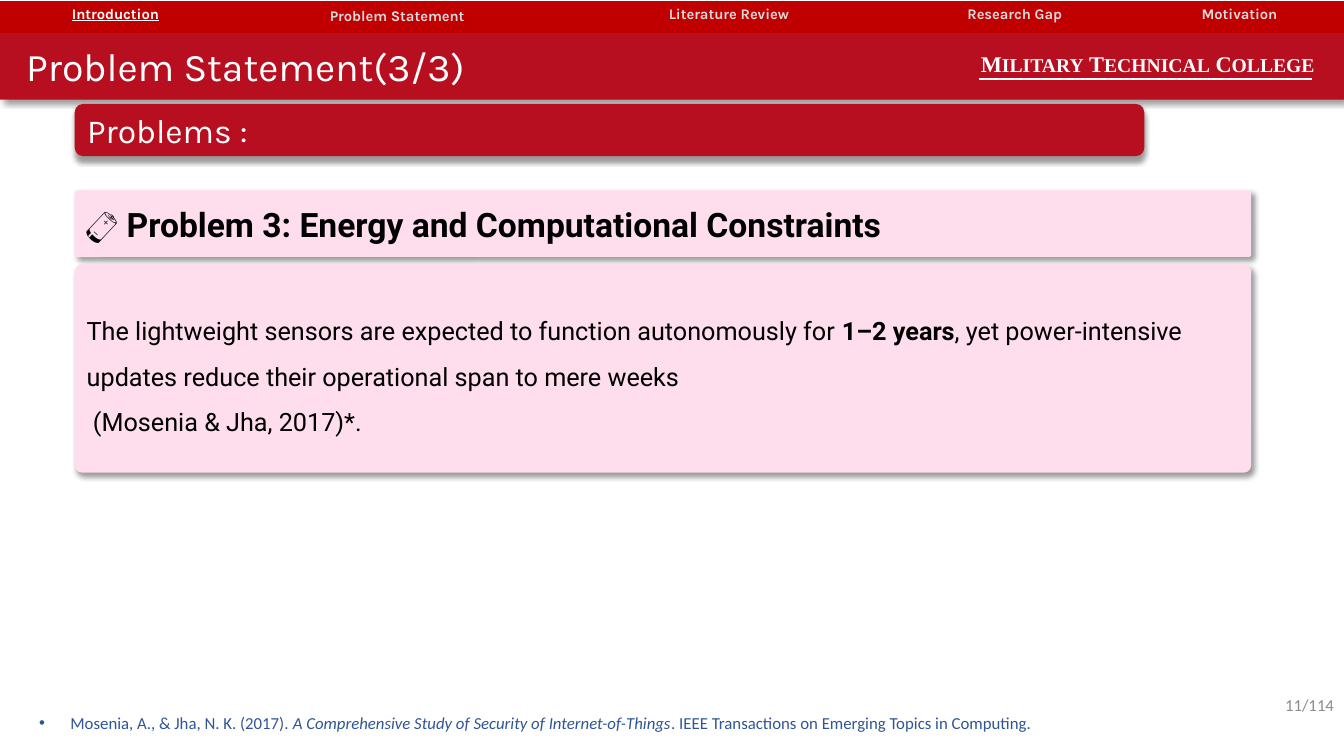
from dataclasses import dataclass

from lxml.etree import SubElement
from pptx import Presentation
from pptx.dml.color import RGBColor
from pptx.enum.shapes import MSO_CONNECTOR, MSO_SHAPE
from pptx.enum.text import MSO_ANCHOR, MSO_AUTO_SIZE, PP_ALIGN
from pptx.oxml.ns import qn
from pptx.util import Inches, Pt

SECTIONS = [("Introduction", 2.29), ("Problem Statement", 3.3), ("Literature Review", 3.28),
            ("Research Gap", 2.39), ("Motivation", 2.07)]
CURRENT_SECTION = "Introduction"
TITLE = "Problem Statement(3/3)"
COLLEGE = ["MILITARY", " TECHNICAL", " COLLEGE"]
HEADING = "Problems :"
PROBLEM = "🔋 Problem 3: Energy and Computational Constraints"
DETAIL = [("The lightweight sensors are expected to function autonomously for ", False),
          ("1–2 years", True),
          (", yet power-intensive updates reduce their operational span to mere weeks", False)]
CITATION = " (Mosenia & Jha, 2017)*."
REFERENCE = [("Mosenia, A., & Jha, N. K. (2017). ", False),
             ("A Comprehensive Study of Security of Internet-of-Things", True),
             (". IEEE Transactions on Emerging Topics in Computing.", False)]
PAGE = "11/114"


@dataclass(frozen=True)
class Theme:
    """Colours, fonts and type sizes of the slide."""
    red: str = "B70F20"
    navigation: str = "C00000"
    pink: str = "FEDEEC"
    white: str = "FFFFFF"
    black: str = "000000"
    muted: str = "D9D9D9"
    grey: str = "8C8C8C"
    blue: str = "2F5597"
    display: str = "Karla"
    body: str = "Roboto"
    plain: str = "Calibri"
    serif: str = "Times New Roman"
    title_size: float = 28
    heading_size: float = 24
    detail_size: float = 18
    initial_size: float = 16
    capital_size: float = 14
    small_size: float = 12
    navigation_size: float = 10.5


THEME = Theme()


def style(paragraph, name, size, color, bold=False):
    """Set the font of a whole paragraph."""
    font = paragraph.font
    font.name, font.size, font.bold = name, Pt(size), bold
    font.color.rgb = RGBColor.from_string(color)


def add_panel(slide, kind, box, fill, shadow_angle, corner=None):
    """Add a filled panel with a soft shadow and return it."""
    panel = slide.shapes.add_shape(kind, *map(Inches, box))
    if corner is not None:
        panel.adjustments[0] = corner
    panel.fill.solid()
    panel.fill.fore_color.rgb = RGBColor.from_string(fill)
    panel.line.fill.background()
    panel.shadow.inherit = False
    effects = panel.element.spPr.find(qn("a:effectLst"))
    shadow = SubElement(effects, qn("a:outerShdw"), blurRad=str(Pt(4)), dist=str(Pt(3)),
                        dir=str(shadow_angle * 60000), algn="tl", rotWithShape="0")
    color = SubElement(shadow, qn("a:srgbClr"), val=THEME.black)
    SubElement(color, qn("a:alpha"), val="40000")
    panel.text_frame.word_wrap = True
    panel.text_frame.vertical_anchor = MSO_ANCHOR.MIDDLE
    panel.text_frame.paragraphs[0].alignment = PP_ALIGN.LEFT
    return panel


def add_text(slide, box):
    """Add a wrapping text box and return its paragraph."""
    frame = slide.shapes.add_textbox(*map(Inches, box)).text_frame
    frame.word_wrap = True
    return frame.paragraphs[0]


def add_header(slide):
    """Add the title band and the college name."""
    band = add_panel(slide, MSO_SHAPE.RECTANGLE, (0, 0.33, 13.33, 0.66), THEME.red, 45)
    title = slide.shapes.title
    title.left, title.top, title.width, title.height = map(Inches, (0.16, 0.37, 8.58, 0.57))
    band.element.addnext(title.element)
    title.text_frame.text = TITLE
    title.text_frame.auto_size = MSO_AUTO_SIZE.NONE
    title.text_frame.vertical_anchor = MSO_ANCHOR.TOP
    paragraph = title.text_frame.paragraphs[0]
    paragraph.alignment = PP_ALIGN.LEFT
    style(paragraph, THEME.display, THEME.title_size, THEME.white)

    college = add_text(slide, (9.63, 0.45, 3.71, 0.37))
    style(college, THEME.serif, THEME.capital_size, THEME.white, True)
    for word in COLLEGE:
        split = len(word) - len(word.lstrip()) + 1
        for text, size in ((word[:split], THEME.initial_size), (word[split:], THEME.capital_size)):
            run = college.add_run()
            run.text = text
            run.font.size = Pt(size)
    underline = slide.shapes.add_connector(MSO_CONNECTOR.STRAIGHT, *map(Inches, (9.71, 0.78, 13.01, 0.78)))
    underline.line.color.rgb = RGBColor.from_string(THEME.white)
    underline.line.width = Pt(1.5)
    SubElement(underline.element.spPr, qn("a:effectLst"))


def add_problem(slide):
    """Add the heading, problem and detail panels."""
    rounded = MSO_SHAPE.ROUNDED_RECTANGLE
    heading = add_panel(slide, rounded, (0.74, 1.03, 10.61, 0.52), THEME.red, 90)
    problem = add_panel(slide, rounded, (0.74, 1.89, 11.67, 0.66), THEME.pink, 45, 0.037)
    detail = add_panel(slide, rounded, (0.74, 2.62, 11.67, 2.07), THEME.pink, 45, 0.037)
    for panel, text, name, color, bold in (
            (heading, HEADING, THEME.display, THEME.white, False),
            (problem, PROBLEM, THEME.body, THEME.black, True)):
        paragraph = panel.text_frame.paragraphs[0]
        paragraph.add_run().text = text
        style(paragraph, name, THEME.heading_size, color, bold)
    paragraph = detail.text_frame.paragraphs[0]
    paragraph.line_spacing = 1.5
    style(paragraph, THEME.body, THEME.detail_size, THEME.black)
    for text, bold in DETAIL:
        run = paragraph.add_run()
        run.text, run.font.bold = text, bold
    paragraph.add_line_break()
    paragraph.add_run().text = CITATION


def add_footer(slide):
    """Add the page number and the bulleted reference."""
    page = add_text(slide, (10.33, 6.84, 3, 0.3))
    page.add_run().text = PAGE
    page.alignment = PP_ALIGN.RIGHT
    style(page, THEME.plain, THEME.small_size, THEME.grey)

    reference = add_text(slide, (0.29, 7.02, 12.12, 0.3))
    properties = reference._p.get_or_add_pPr()
    properties.set("marL", str(Inches(0.31)))
    properties.set("indent", str(-Inches(0.31)))
    SubElement(properties, qn("a:buFont"), typeface="Arial")
    SubElement(properties, qn("a:buChar"), char="•")
    style(reference, THEME.plain, THEME.small_size, THEME.blue)
    for text, italic in REFERENCE:
        run = reference.add_run()
        run.text, run.font.italic = text, italic


def add_navigation(slide):
    """Add the row of section names with the current one underlined."""
    frame = slide.shapes.add_table(1, len(SECTIONS), *map(Inches, (0, 0.01, 13.33, 0.32)))
    table = frame.table
    table.first_row = table.horz_banding = False
    style_id = next(frame.element.iter(qn("a:tableStyleId")))
    style_id.text = "{2D5ABB26-0587-4C30-8999-92F81FD0307C}"
    for (name, width), column, cell in zip(SECTIONS, table.columns, table.iter_cells()):
        column.width = Inches(width)
        cell.text = name
        cell.fill.solid()
        cell.fill.fore_color.rgb = RGBColor.from_string(THEME.navigation)
        current = name == CURRENT_SECTION
        paragraph = cell.text_frame.paragraphs[0]
        paragraph.alignment = PP_ALIGN.CENTER
        style(paragraph, THEME.display, THEME.navigation_size,
              THEME.white if current else THEME.muted, True)
        paragraph.font.underline = current
        if name == "Problem Statement":
            cell.vertical_anchor = MSO_ANCHOR.MIDDLE


def main():
    """Build and save the slide."""
    presentation = Presentation()
    presentation.slide_width, presentation.slide_height = Inches(13.33), Inches(7.5)
    slide = presentation.slides.add_slide(presentation.slide_layouts[5])
    add_header(slide)
    add_problem(slide)
    add_footer(slide)
    add_navigation(slide)
    presentation.save("out.pptx")


if __name__ == "__main__":
    main()
